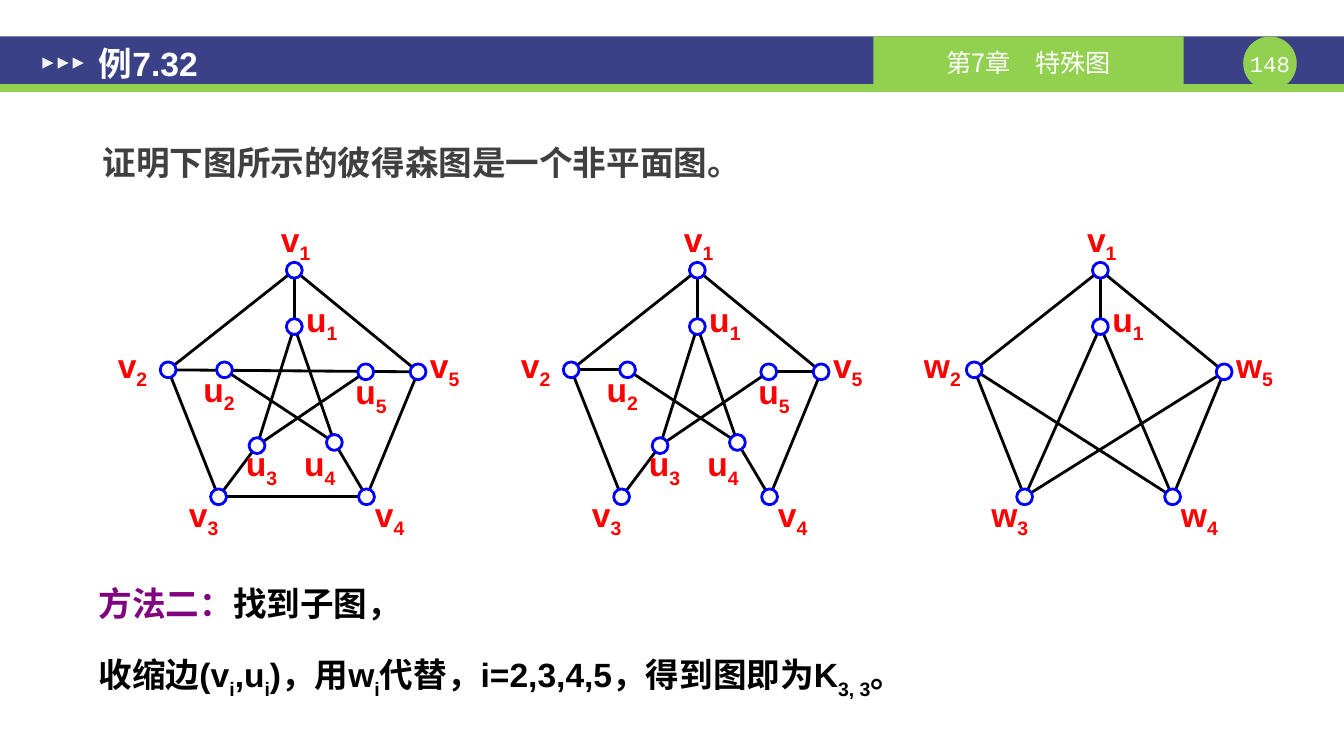
from dataclasses import dataclass
from math import hypot

from lxml.etree import SubElement
from pptx import Presentation
from pptx.dml.color import RGBColor
from pptx.enum.shapes import MSO_CONNECTOR, MSO_SHAPE
from pptx.enum.text import MSO_ANCHOR, MSO_AUTO_SIZE, PP_ALIGN
from pptx.oxml.ns import qn
from pptx.util import Cm, Pt


@dataclass(frozen=True)
class Theme:
    navy: str = "3A4187"
    green: str = "92D050"
    pale: str = "F2F2F2"
    white: str = "FFFFFF"
    black: str = "000000"
    grey: str = "404040"
    purple: str = "800080"
    red: str = "FF0000"
    blue: str = "0000FF"
    font: str = "Arial"
    cjk_font: str = "Noto Sans CJK SC"
    number_font: str = "Courier New"
    main: int = 24
    chapter: int = 18
    number: int = 16
    stroke: int = 2


THEME = Theme()
NODE_RADIUS = 0.2
LABEL_SIZE = 1.19, 1.02

# Vertex centres and label corners, in cm from the corner of a graph's box.
CENTRES = {
    "v1": (4.45, 1.3), "v2": (1.27, 3.81), "v3": (2.54, 7.01),
    "v4": (6.27, 7.01), "v5": (7.57, 3.86),
    "u1": (4.45, 2.72), "u2": (2.69, 3.81), "u3": (3.51, 5.72),
    "u4": (5.46, 5.64), "u5": (6.25, 3.86),
}
LABELS = {
    "v1": (3.89, 0), "v2": (0, 3.18), "v3": (1.57, 6.93),
    "v4": (6.48, 6.93), "v5": (7.87, 3.18),
    "u1": (4.75, 2.01), "u2": (2.16, 3.78), "u3": (3.23, 5.66),
    "u4": (4.7, 5.66), "u5": (5.99, 3.84),
}
for spots in (CENTRES, LABELS):
    spots.update({f"w{i}": spots[f"v{i}"] for i in range(2, 6)})
CENTRED_LABELS = {"v1", "v3", "w3"}

SHARED_EDGES = "v1v5 v4u4 v2v3 v5v4 v1v2 u1u3 u1u4 u5u3 u2u4 v1u1 u3v3"
PETERSEN_VERTICES = "v1 v2 v3 v4 v5 u1 u2 u3 u4 u5"
GRAPHS = [
    (PETERSEN_VERTICES, SHARED_EDGES + " v3v4 v2v5"),
    (PETERSEN_VERTICES, SHARED_EDGES + " v2u2 u5v5"),
    ("v1 w2 w3 w4 w5 u1",
     "v1w5 w2w3 w5w4 v1w2 u1w3 u1w4 w5w3 w2w4 v1u1"),
]


def rgb(colour):
    return RGBColor.from_string(colour)


def style(paragraph, colour, size=THEME.main, font=THEME.font, bold=True):
    paragraph.font.name = font
    paragraph.font.size = Pt(size)
    paragraph.font.bold = bold
    paragraph.font.color.rgb = rgb(colour)


def set_margins(frame, horizontal, top, bottom):
    frame.margin_left = frame.margin_right = Cm(horizontal)
    frame.margin_top, frame.margin_bottom = Cm(top), Cm(bottom)


def add_indexed_text(paragraph, text):
    """Add runs; every second piece between underscores is a subscript."""
    for i, piece in enumerate(text.split("_")):
        run = paragraph.add_run()
        run.text = piece
        if i % 2:
            run._r.get_or_add_rPr().set("baseline", "-25000")


def add_filled(shapes, kind, left, top, width, height, fill):
    shape = shapes.add_shape(kind, Cm(left), Cm(top), Cm(width), Cm(height))
    shape.shadow.inherit = False
    shape.fill.solid()
    shape.fill.fore_color.rgb = rgb(fill)
    shape.line.fill.background()
    return shape


def add_header(slide, left, top, width):
    shapes = slide.shapes
    band_height = 1.2
    add_filled(shapes, MSO_SHAPE.RECTANGLE, left, top, width, band_height, THEME.navy)
    add_filled(shapes, MSO_SHAPE.RECTANGLE, left, top + band_height, width, 0.2, THEME.green)
    page = add_filled(shapes, MSO_SHAPE.OVAL, left + 31.34, top, 1.35, 1.35, THEME.green)
    chapter = add_filled(shapes, MSO_SHAPE.RECTANGLE, left + 22.02, top, 7.82,
                         band_height, THEME.green)
    for i in range(3):
        arrow = add_filled(shapes, MSO_SHAPE.ISOSCELES_TRIANGLE, left + 1.07 + 0.38 * i,
                           top + 0.53, 0.28, 0.28, THEME.pale)
        arrow.rotation = 90

    set_margins(page.text_frame, 0, 0, 0)
    page.text_frame.word_wrap = False
    set_margins(chapter.text_frame, 0.25, 0.1, 0)
    for part, text, size, font in (
        (page, "148", THEME.number, THEME.number_font),
        (chapter, "第7章　特殊图", THEME.chapter, THEME.cjk_font),
    ):
        part.text_frame.vertical_anchor = MSO_ANCHOR.MIDDLE
        paragraph = part.text_frame.paragraphs[0]
        paragraph.text = text
        paragraph.alignment = PP_ALIGN.CENTER
        style(paragraph, THEME.white, size, font, bold=False)


def fill_placeholder(holder, text, colour, anchor, left, top, width, height):
    """Place a placeholder in front of the header and return its paragraph."""
    holder.left, holder.top = Cm(left), Cm(top)
    holder.width, holder.height = Cm(width), Cm(height)
    holder.element.getparent().append(holder.element)
    frame = holder.text_frame
    frame.auto_size = MSO_AUTO_SIZE.NONE
    frame.vertical_anchor = anchor
    set_margins(frame, 0.33, 0.18, 0.18)
    paragraph = frame.paragraphs[0]
    paragraph.text = text
    paragraph.alignment = PP_ALIGN.LEFT
    paragraph.space_before = Pt(0)
    properties = paragraph._p.get_or_add_pPr()
    properties.set("marL", "0")
    properties.set("indent", "0")
    SubElement(properties, qn("a:buNone"))
    style(paragraph, colour)
    return paragraph


def add_edge(shapes, start, end):
    """Join two vertex centres by a line that stops at the circles."""
    (x1, y1), (x2, y2) = start, end
    distance = hypot(x2 - x1, y2 - y1)
    dx = (x2 - x1) / distance * NODE_RADIUS
    dy = (y2 - y1) / distance * NODE_RADIUS
    edge = shapes.add_connector(MSO_CONNECTOR.STRAIGHT, Cm(x1 + dx), Cm(y1 + dy),
                                Cm(x2 - dx), Cm(y2 - dy))
    edge.line.color.rgb = rgb(THEME.black)
    edge.line.width = Pt(THEME.stroke)
    SubElement(edge.element.spPr, qn("a:effectLst"))


def add_graph(slide, vertices, edges, left, top):
    shapes = slide.shapes.add_group_shape().shapes
    names = vertices.split()
    centres = {name: (left + CENTRES[name][0], top + CENTRES[name][1]) for name in names}
    for edge in edges.split():
        add_edge(shapes, centres[edge[:2]], centres[edge[2:]])
    for name in names:
        x, y = LABELS[name]
        label = shapes.add_textbox(Cm(left + x), Cm(top + y), *map(Cm, LABEL_SIZE))
        label.text_frame.word_wrap = True
        set_margins(label.text_frame, 0, 0, 0)
        paragraph = label.text_frame.paragraphs[0]
        add_indexed_text(paragraph, "_".join(name))
        paragraph.alignment = PP_ALIGN.CENTER if name in CENTRED_LABELS else PP_ALIGN.LEFT
        style(paragraph, THEME.red)
    for x, y in centres.values():
        node = add_filled(shapes, MSO_SHAPE.OVAL, x - NODE_RADIUS, y - NODE_RADIUS,
                          2 * NODE_RADIUS, 2 * NODE_RADIUS, THEME.white)
        node.line.color.rgb = rgb(THEME.blue)
        node.line.width = Pt(THEME.stroke)


def add_proof(slide, left, top, width, height):
    proof = slide.shapes.add_textbox(Cm(left), Cm(top), Cm(width), Cm(height))
    frame = proof.text_frame
    frame.word_wrap = True
    method, contraction = frame.paragraphs[0], frame.add_paragraph()
    add_indexed_text(method, "方法二：")
    method.runs[0].font.color.rgb = rgb(THEME.purple)
    add_indexed_text(method, "找到子图，")
    add_indexed_text(contraction,
                     "收缩边(v_i_,u_i_)，用w_i_代替，i=2,3,4,5，得到图即为K_3, 3_。")
    contraction.space_before = Pt(6)
    for paragraph in (method, contraction):
        paragraph.alignment = PP_ALIGN.JUSTIFY
        paragraph.line_spacing = 1.5
        style(paragraph, THEME.black)


def main():
    deck = Presentation()
    deck.slide_width, deck.slide_height = Cm(33.88), Cm(19.05)
    slide = deck.slides.add_slide(deck.slide_layouts[1])
    add_header(slide, 0, 0.92, 33.88)
    add_proof(slide, 2.24, 14.05, 30.68, 3.56)
    fill_placeholder(slide.shapes.title, "例7.32", THEME.white, MSO_ANCHOR.MIDDLE,
                     2.16, 1, 14.8, 1.2)
    task = fill_placeholder(slide.placeholders[1], "证明下图所示的彼得森图是一个非平面图。",
                            THEME.grey, MSO_ANCHOR.TOP, 2.26, 3.18, 29.87, 2.26)
    task.line_spacing = 1.2
    for i, (vertices, edges) in enumerate(GRAPHS):
        add_graph(slide, vertices, edges, 2.97 + 10.16 * i, 5.51)
    deck.save("out.pptx")


if __name__ == "__main__":
    main()
